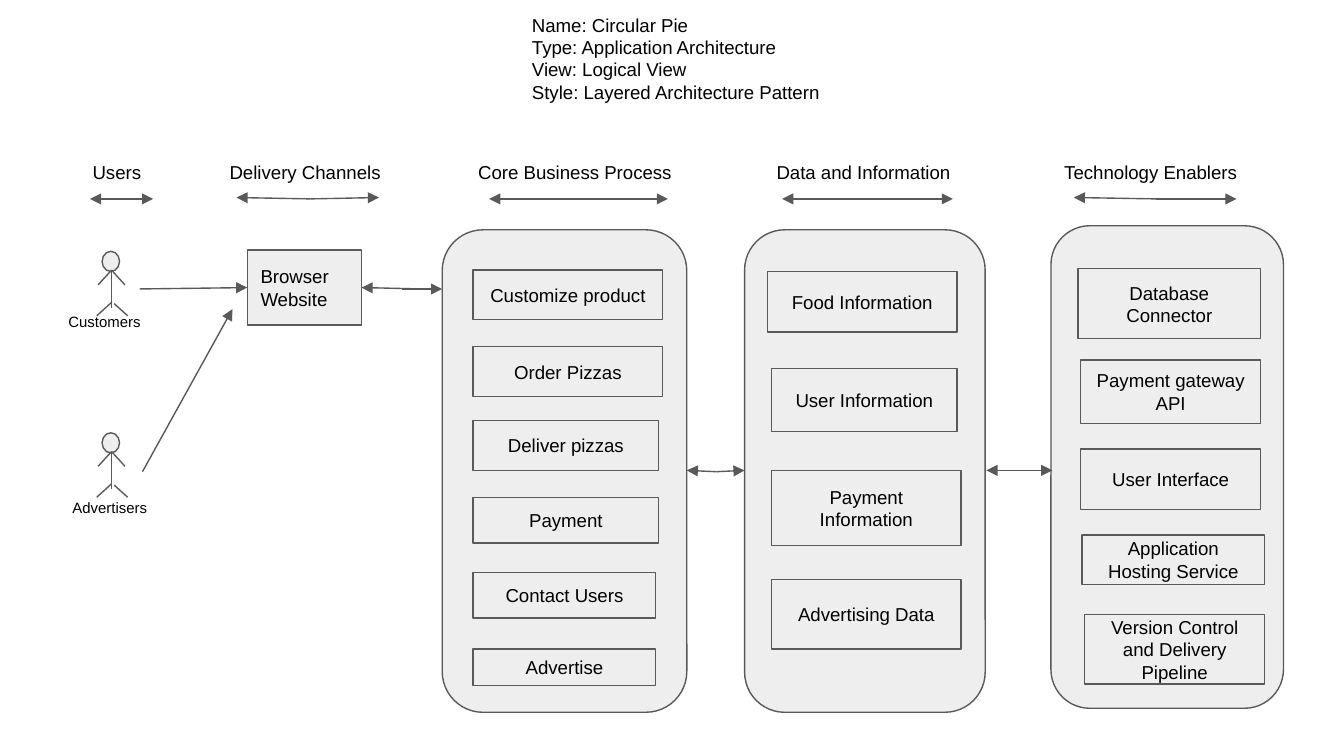
"""Build the layered application architecture slide of a pizza ordering system."""
from lxml import etree
from pptx import Presentation
from pptx.dml.color import RGBColor
from pptx.enum.shapes import MSO_CONNECTOR, MSO_SHAPE
from pptx.enum.text import MSO_ANCHOR, MSO_AUTO_SIZE, PP_ALIGN
from pptx.oxml.ns import qn
from pptx.util import Inches, Pt

STRAIGHT = MSO_CONNECTOR.STRAIGHT
RECTANGLE, ROUNDED, OVAL = MSO_SHAPE.RECTANGLE, MSO_SHAPE.ROUNDED_RECTANGLE, MSO_SHAPE.OVAL
LEFT, CENTER = PP_ALIGN.LEFT, PP_ALIGN.CENTER
TOP, MIDDLE = MSO_ANCHOR.TOP, MSO_ANCHOR.MIDDLE
FIT_TEXT, FIXED = MSO_AUTO_SIZE.SHAPE_TO_FIT_TEXT, MSO_AUTO_SIZE.NONE

BLACK = RGBColor(0x00, 0x00, 0x00)
DARK_GRAY = RGBColor(0x59, 0x59, 0x59)
LIGHT_GRAY = RGBColor(0xEE, 0xEE, 0xEE)
SLIDE_WIDTH = Inches(10)
SLIDE_HEIGHT = SLIDE_WIDTH * 9 // 16
LINE_WIDTH = Pt(0.75)
INSETS = {f"margin_{side}": Inches(0.1) for side in ("left", "top", "right", "bottom")}

TITLE_LINES = [
    "Name: Circular Pie",
    "Type: Application Architecture",
    "View: Logical View",
    "Style: Layered Architecture Pattern",
]
HEADINGS = [
    ("Users", 0.59, 0.58),
    ("Delivery Channels", 1.61, 1.41),
    ("Core Business Process", 3.46, 1.86),
    ("Data and Information", 5.68, 1.6),
    ("Technology Enablers", 7.82, 1.55),
]
HEADING_TOP, HEADING_HEIGHT = 1.11, 0.37
ACTORS = [
    ("Customers", 1.87, (0.41, 2.26, 0.93)),
    ("Advertisers", 3.22, (0.44, 3.64, 0.77)),
]
ACTOR_CENTER = 0.83
LIMBS = [
    ((0, 0.14), (0, 0.42)),
    ((0.1, 0.25), (0, 0.14)),
    ((0, 0.14), (-0.1, 0.25)),
    ((0, 0.38), (-0.11, 0.48)),
    ((0.02, 0.39), (0.12, 0.48)),
]
BROWSER = ("Browser Website", (1.84, 1.86, 0.85, 0.56))
LAYERS = [
    ((3.29, 1.71, 1.82, 3.59), [
        ("Customize product", (3.52, 2.01, 1.41, 0.37)),
        ("Order Pizzas", (3.52, 2.58, 1.41, 0.37)),
        ("Deliver pizzas", (3.52, 3.13, 1.38, 0.37)),
        ("Payment", (3.52, 3.7, 1.38, 0.34)),
        ("Contact Users", (3.52, 4.26, 1.36, 0.34)),
        ("Advertise", (3.52, 4.83, 1.36, 0.27)),
    ]),
    ((5.54, 1.71, 1.79, 3.59), [
        ("Food Information", (5.71, 2.02, 1.41, 0.45)),
        ("User Information", (5.74, 2.74, 1.38, 0.47)),
        ("Payment Information", (5.74, 3.5, 1.41, 0.56)),
        ("Advertising Data", (5.74, 4.31, 1.41, 0.52)),
    ]),
    ((7.82, 1.68, 1.73, 3.59), [
        ("Database Connector", (8.02, 2, 1.36, 0.52)),
        ("Payment gateway API", (8.04, 2.68, 1.34, 0.47)),
        ("User Interface", (8.04, 3.34, 1.34, 0.45)),
        ("Application Hosting Service", (8.05, 3.98, 1.36, 0.37)),
        ("Version Control and Delivery Pipeline", (8.07, 4.57, 1.34, 0.52)),
    ]),
]
ONE_WAY_ARROWS = [
    ((1.04, 2.15), (1.84, 2.14)),
    ((1.06, 3.51), (1.73, 2.3)),
    ((2.99, 2.15), (3.29, 2.15)),
    ((3.14, 2.15), (2.69, 2.14)),
]
TWO_WAY_ARROWS = [
    ((0.67, 1.48), (0.88, 1.48), (1.14, 1.48)),
    ((1.76, 1.47), (2.31, 1.48), (2.82, 1.47)),
    ((3.64, 1.48), (4.39, 1.48), (4.97, 1.48)),
    ((5.82, 1.48), (6.48, 1.48), (7.09, 1.48)),
    ((7.99, 1.47), (8.6, 1.48), (9.2, 1.48)),
    ((5.11, 3.5), (5.33, 3.51), (5.54, 3.5)),
    ((7.34, 3.5), (7.61, 3.5), (7.83, 3.5)),
]


def write_text(shape, lines, size=10, alignment=LEFT, anchor=TOP, auto_size=FIT_TEXT):
    frame = shape.text_frame
    settings = {**INSETS, "word_wrap": True, "vertical_anchor": anchor, "auto_size": auto_size}
    for name, value in settings.items():
        setattr(frame, name, value)
    frame.text = "\n".join(lines)
    for paragraph in frame.paragraphs:
        paragraph.alignment = alignment
        font = paragraph.runs[0].font
        for name, value in {"name": "Arial", "size": Pt(size)}.items():
            setattr(font, name, value)
        font.color.rgb = BLACK


def add_label(slide, lines, place, size=10):
    write_text(slide.shapes.add_textbox(*map(Inches, place)), lines, size)


def add_outlined(slide, kind, place):
    shape = slide.shapes.add_shape(kind, *map(Inches, place))
    shape.shadow.inherit = False
    shape.fill.solid()
    shape.fill.fore_color.rgb = LIGHT_GRAY
    shape.line.color.rgb = DARK_GRAY
    shape.line.width = LINE_WIDTH
    return shape


def add_box(slide, text, place, alignment=CENTER):
    write_text(add_outlined(slide, RECTANGLE, place), [text], 10, alignment, MIDDLE, FIXED)


def add_line(slide, start, end, arrow=False):
    connector = slide.shapes.add_connector(STRAIGHT, *map(Inches, (*start, *end)))
    connector.line.color.rgb = DARK_GRAY
    connector.line.width = LINE_WIDTH
    properties = connector._element.spPr
    etree.SubElement(properties, qn("a:effectLst"))
    if arrow:
        etree.SubElement(properties.find(qn("a:ln")), qn("a:tailEnd"), type="triangle")


def add_actor(slide, name, top, label_place):
    add_outlined(slide, OVAL, (ACTOR_CENTER - 0.07, top, 0.13, 0.15))
    for limb in LIMBS:
        add_line(slide, *[(ACTOR_CENTER + x, top + y) for x, y in limb])
    add_label(slide, [name], (*label_place, 0.34), 8)


def main():
    presentation = Presentation()
    presentation.slide_width, presentation.slide_height = SLIDE_WIDTH, SLIDE_HEIGHT
    slide = presentation.slides.add_slide(presentation.slide_layouts[6])

    add_label(slide, TITLE_LINES, (3.86, 0, 2.4, 0.88))
    for heading, left, width in HEADINGS:
        add_label(slide, [heading], (left, HEADING_TOP, width, HEADING_HEIGHT))
    for actor in ACTORS:
        add_actor(slide, *actor)
    add_box(slide, *BROWSER, LEFT)
    for panel_place, boxes in LAYERS:
        add_outlined(slide, ROUNDED, panel_place).adjustments[0] = 0.167
        for text, place in boxes:
            add_box(slide, text, place)
    for start, end in ONE_WAY_ARROWS:
        add_line(slide, start, end, arrow=True)
    for left_end, middle, right_end in TWO_WAY_ARROWS:
        for end in (right_end, left_end):
            add_line(slide, middle, end, arrow=True)
    presentation.save("out.pptx")


if __name__ == "__main__":
    main()
